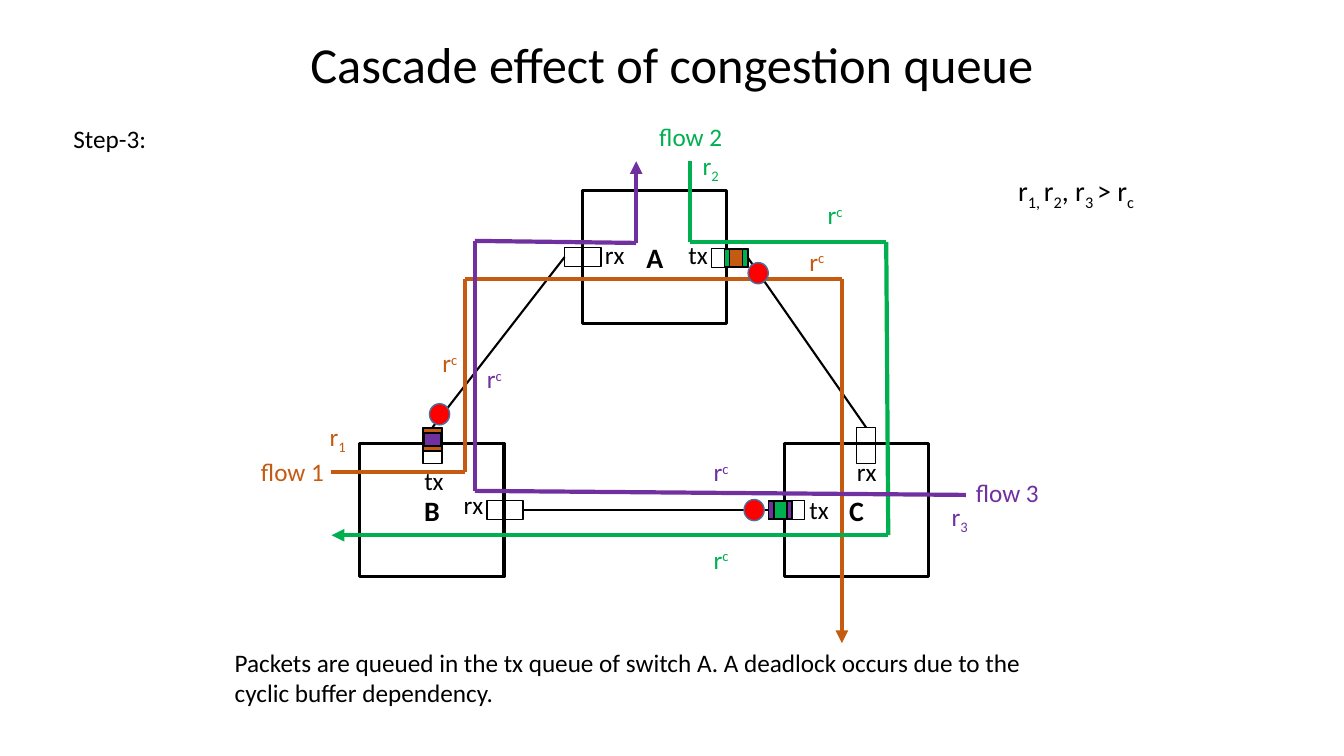
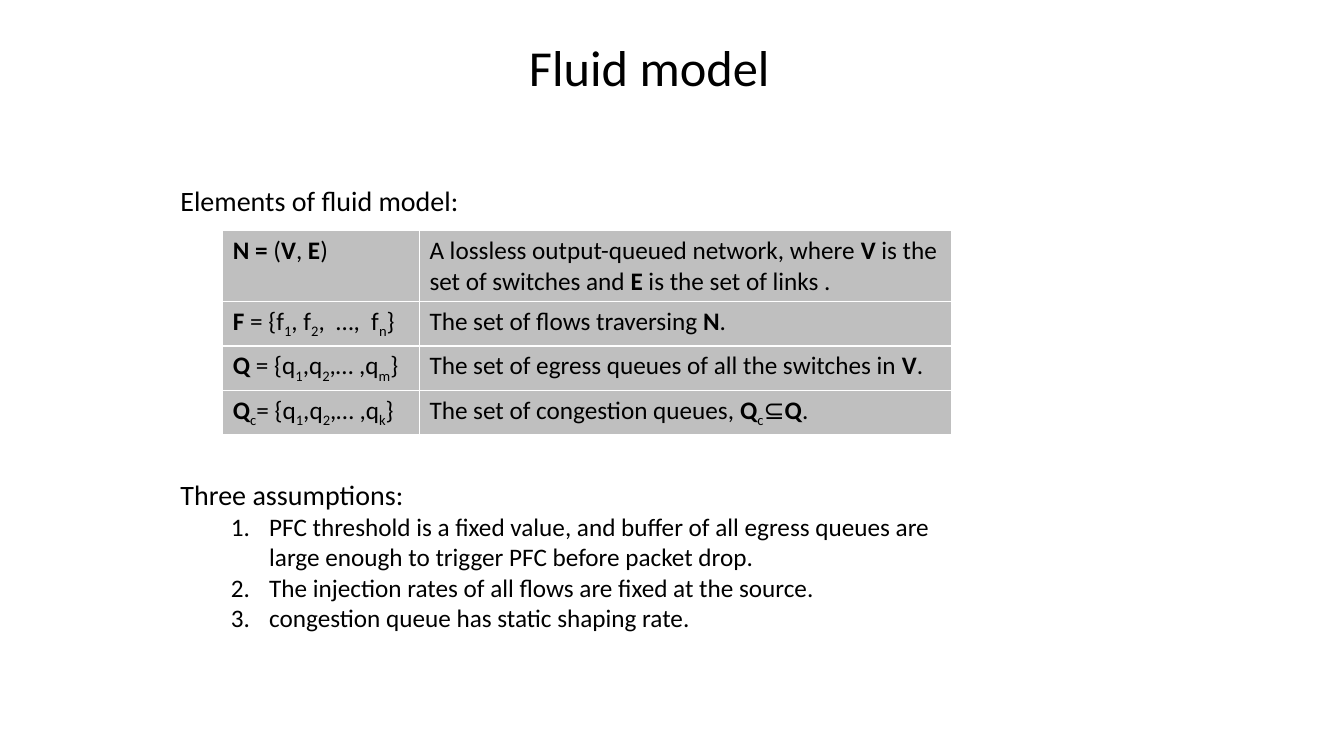
"""Builds two slides: a deadlock among three switches, and the fluid model behind it."""
from itertools import pairwise
from lxml.etree import SubElement
from pptx import Presentation
from pptx.dml.color import RGBColor
from pptx.enum.shapes import MSO_CONNECTOR as Connector, MSO_SHAPE as Shape
from pptx.enum.text import MSO_ANCHOR as Anchor, MSO_AUTO_SIZE as AutoSize, PP_ALIGN as Align
from pptx.oxml.ns import qn
from pptx.util import Inches, Pt

FONT = "Calibri"
BLACK, RED, STEEL, GREY = "000000", "FF0000", "43739E", "BFBFBF"
ORANGE, GREEN, PURPLE = "C55A11", "00B050", "7030A0"
TITLE_SIZE, LEAD_SIZE, TEXT_SIZE = 36, 20, 18
TITLE_HEIGHT, LABEL_HEIGHT = 0.71, 0.4

SWITCH_WIDTH, SWITCH_HEIGHT = 1.43, 1.32
SWITCHES = {"A": (5.78, 1.89), "B": (3.57, 4.4), "C": (7.78, 4.4)}

PORT_DEPTH, PORT_LENGTH = 0.19, 0.36
LEFT, RIGHT, UP = (-1, 0), (1, 0), (0, -1)
PORTS = {
    "A rx": (5.78, 2.55, LEFT),
    "A tx": (7.24, 2.56, RIGHT),
    "B rx": (5.01, 5.06, RIGHT),
    "B tx": (4.29, 4.42, UP),
    "C rx": (8.59, 4.42, UP),
    "C tx": (7.8, 5.06, LEFT),
}
LINKS = [("A rx", "B tx"), ("A tx", "C rx"), ("B rx", "C tx")]

QUEUE_SHIFT = 0.06
QUEUES = {"A tx": (GREEN, ORANGE), "B tx": (ORANGE, PURPLE), "C tx": (PURPLE, GREEN)}
PACKETS = [(0.18, 0.23), (0.17, 0.13)]
PAUSES = [(4.36, 4.11), (7.48, 5.06), (7.52, 2.71)]

FLOWS = [
    (ORANGE, [(3.28, 4.68), (4.61, 4.68), (4.61, 2.77), (8.35, 2.77), (8.35, 6.38)]),
    (GREEN, [(6.84, 1.6), (6.84, 2.4), (8.79, 2.4), (8.81, 5.31), (3.29, 5.31)]),
    (PURPLE, [(9.58, 4.91), (4.71, 4.87), (4.71, 2.39), (6.31, 2.41), (6.31, 1.6)]),
]

LABELS = [
    ("rx", 0.4, BLACK, [(8.4, 4.48), (5.9, 2.33), (4.5, 4.81)]),
    ("tx", 0.39, BLACK, [(7.93, 4.86), (4.11, 4.57), (6.73, 2.33)]),
    ("r^c^", 0.36, ORANGE, [(4.29, 3.4), (7.93, 2.39)]),
    ("r^c^", 0.36, PURPLE, [(4.73, 3.56), (6.98, 4.48)]),
    ("r^c^", 0.36, GREEN, [(6.98, 5.35), (8.11, 1.93)]),
    ("r~1~", 0.38, ORANGE, [(3.17, 4.13)]),
    ("r~2~", 0.38, GREEN, [(6.87, 1.44)]),
    ("r~3~", 0.38, PURPLE, [(9.34, 4.92)]),
    ("flow 1", 0.84, ORANGE, [(2.49, 4.48)]),
    ("flow 2", 0.84, GREEN, [(6.44, 1.15)]),
    ("flow 3", 0.84, PURPLE, [(9.58, 4.69)]),
    ("Step-3:", 0.93, BLACK, [(0.63, 1.17)]),
]
RATES = "r~1, ~r~2~, r~3 ~> r~c~"
SUMMARY = ("Packets are queued in the tx queue of switch A. A deadlock occurs due to the "
           "cyclic buffer dependency.")

COLUMNS, ROW_HEIGHT = (1.95, 5.28), 0.41
ELEMENTS = [
    ("*N = *(*V*, *E*)",
     "A lossless output-queued network, where *V* is the set of switches "
     "and *E* is the set of links ."),
    ("*F *= {f~1~, f~2~,  …,  f~n~}", "The set of flows traversing *N*."),
    ("*Q* = {q~1~,q~2~,… ,q~m~}",
     "The set of egress queues of all the switches in *V*."),
    ("*Q*~c~= {q~1~,q~2~,… ,q~k~}", "The set of congestion queues, *Q*~c~⊆*Q*."),
]
ASSUMPTIONS = [
    "PFC threshold is a fixed value, and buffer of all egress queues are large enough "
    "to trigger PFC before packet drop.",
    "The injection rates of all flows are fixed at the source.",
    "congestion queue has static shaping rate.",
]


def rgb(value):
    return RGBColor.from_string(value)


def inches(*lengths):
    return [Inches(length) for length in lengths]


def split_marks(text):
    """Yields (piece, bold, baseline); * marks bold, ~ subscript, ^ superscript."""
    state, piece = {"*": False, "~": False, "^": False}, ""
    for letter in text + "*":
        if letter not in state:
            piece += letter
            continue
        if piece:
            yield piece, state["*"], -25000 * state["~"] + 30000 * state["^"]
        state[letter], piece = not state[letter], ""


def write(para, text, size=TEXT_SIZE, color=BLACK):
    for piece, bold, baseline in split_marks(text):
        span = para.add_run()
        span.text = piece
        font = span.font
        font.name, font.size, font.bold = FONT, Pt(size), bold
        font.color.rgb = rgb(color)
        if baseline:
            font._element.set("baseline", str(baseline))


def add_text(page, place, text, size=TEXT_SIZE, color=BLACK, wrap=False):
    frame = page.shapes.add_textbox(*inches(*place)).text_frame
    frame.word_wrap, frame.auto_size = wrap, AutoSize.SHAPE_TO_FIT_TEXT
    write(frame.paragraphs[0], text, size, color)


def add_box(page, kind, place, fill=None, line=BLACK, weight=1):
    box = page.shapes.add_shape(kind, *inches(*place))
    box.shadow.inherit = False
    if fill:
        box.fill.solid()
        box.fill.fore_color.rgb = rgb(fill)
    else:
        box.fill.background()
    box.line.color.rgb, box.line.width = rgb(line), Pt(weight)
    return box


def add_centred(page, kind, center, size, fill=None, line=BLACK):
    corner = [middle - length / 2 for middle, length in zip(center, size)]
    return add_box(page, kind, (*corner, *size), fill, line)


def add_line(page, start, end, color=BLACK, weight=1.5, arrow=False):
    line = page.shapes.add_connector(Connector.STRAIGHT, *inches(*start, *end))
    line.line.color.rgb, line.line.width = rgb(color), Pt(weight)
    if arrow:
        SubElement(line.line._get_or_add_ln(), qn("a:tailEnd"), type="triangle")
    SubElement(line._element.spPr, qn("a:effectLst"))


def place_frame(holder, place, anchor):
    holder.left, holder.top, holder.width, holder.height = inches(*place)
    frame = holder.text_frame
    frame.word_wrap, frame.auto_size = True, AutoSize.NONE
    frame.vertical_anchor = anchor
    return frame


def add_page(deck, layout, title, left, top, width):
    page = deck.slides.add_slide(deck.slide_layouts[layout])
    frame = place_frame(page.shapes.title, (left, top, width, TITLE_HEIGHT), Anchor.MIDDLE)
    para = frame.paragraphs[0]
    para.alignment = Align.CENTER
    write(para, title, TITLE_SIZE)
    return page


def shifted(port, distance):
    x, y, (across, down) = PORTS[port]
    return x + across * distance, y + down * distance


def turned(port, depth, length):
    return (depth, length) if PORTS[port][2] == UP else (length, depth)


def draw_network(page):
    for name, corner in SWITCHES.items():
        box = add_box(page, Shape.RECTANGLE, (*corner, SWITCH_WIDTH, SWITCH_HEIGHT), weight=2.25)
        box.text_frame.vertical_anchor = Anchor.MIDDLE
        para = box.text_frame.paragraphs[0]
        para.alignment = Align.CENTER
        write(para, f"*{name}*", LEAD_SIZE)
    for port in PORTS:
        add_centred(page, Shape.RECTANGLE, shifted(port, 0), turned(port, PORT_DEPTH, PORT_LENGTH))
    for ends in LINKS:
        add_line(page, *[shifted(port, PORT_LENGTH / 2) for port in ends])
    for color, points in FLOWS:
        for start, end in pairwise(points):
            add_line(page, start, end, color, 3, arrow=end == points[-1])
    for port, colors in QUEUES.items():
        for color, packet in zip(colors, PACKETS):
            add_centred(page, Shape.RECTANGLE, shifted(port, QUEUE_SHIFT),
                        turned(port, *packet), color)
    for center in PAUSES:
        add_centred(page, Shape.OVAL, center, (0.2, 0.21), RED, STEEL)


def draw_table(page):
    table = page.shapes.add_table(
        len(ELEMENTS), len(COLUMNS),
        *inches(2.21, 2.29, sum(COLUMNS), ROW_HEIGHT * len(ELEMENTS))).table
    for column, width in zip(table.columns, COLUMNS):
        column.width = Inches(width)
    for row, texts in zip(table.rows, ELEMENTS):
        for cell, text in zip(row.cells, texts):
            cell.fill.solid()
            cell.fill.fore_color.rgb = rgb(GREY)
            write(cell.text_frame.paragraphs[0], text)


def add_item(para, text, size, indent, hanging, bullet, **numbering):
    para.space_before = Pt(0)
    properties = para._p.get_or_add_pPr()
    properties.set("marL", str(Inches(indent)))
    properties.set("indent", str(Inches(-hanging)))
    SubElement(properties, qn(bullet), **numbering)
    write(para, text, size)


def list_assumptions(page):
    frame = place_frame(page.placeholders[1], (1.69, 4.69, 7.74, 1.65), Anchor.TOP)
    add_item(frame.paragraphs[0], "Three assumptions:", LEAD_SIZE, 0, 0, "a:buNone")
    for text in ASSUMPTIONS:
        para = frame.add_paragraph()
        para.level = 1
        add_item(para, text, TEXT_SIZE, 0.88, 0.38, "a:buAutoNum", type="arabicPeriod")


def main():
    deck = Presentation()
    deck.slide_width, deck.slide_height = inches(13.33, 7.5)

    cascade = add_page(deck, 5, "Cascade effect of congestion queue", 1.72, 0.27, 9.89)
    draw_network(cascade)
    for text, width, color, corners in LABELS:
        for corner in corners:
            add_text(cascade, (*corner, width, LABEL_HEIGHT), text, color=color)
    add_text(cascade, (10, 1.67, 1.46, 0.44), RATES, LEAD_SIZE)
    add_text(cascade, (2.23, 6.37, 8.03, 0.71), SUMMARY, wrap=True)

    model = add_page(deck, 1, "Fluid model", 0.63, 0.3, 11.62)
    add_text(model, (1.69, 1.77, 2.99, 0.44), "Elements of fluid model:", LEAD_SIZE)
    draw_table(model)
    list_assumptions(model)

    deck.save("out.pptx")


main()
